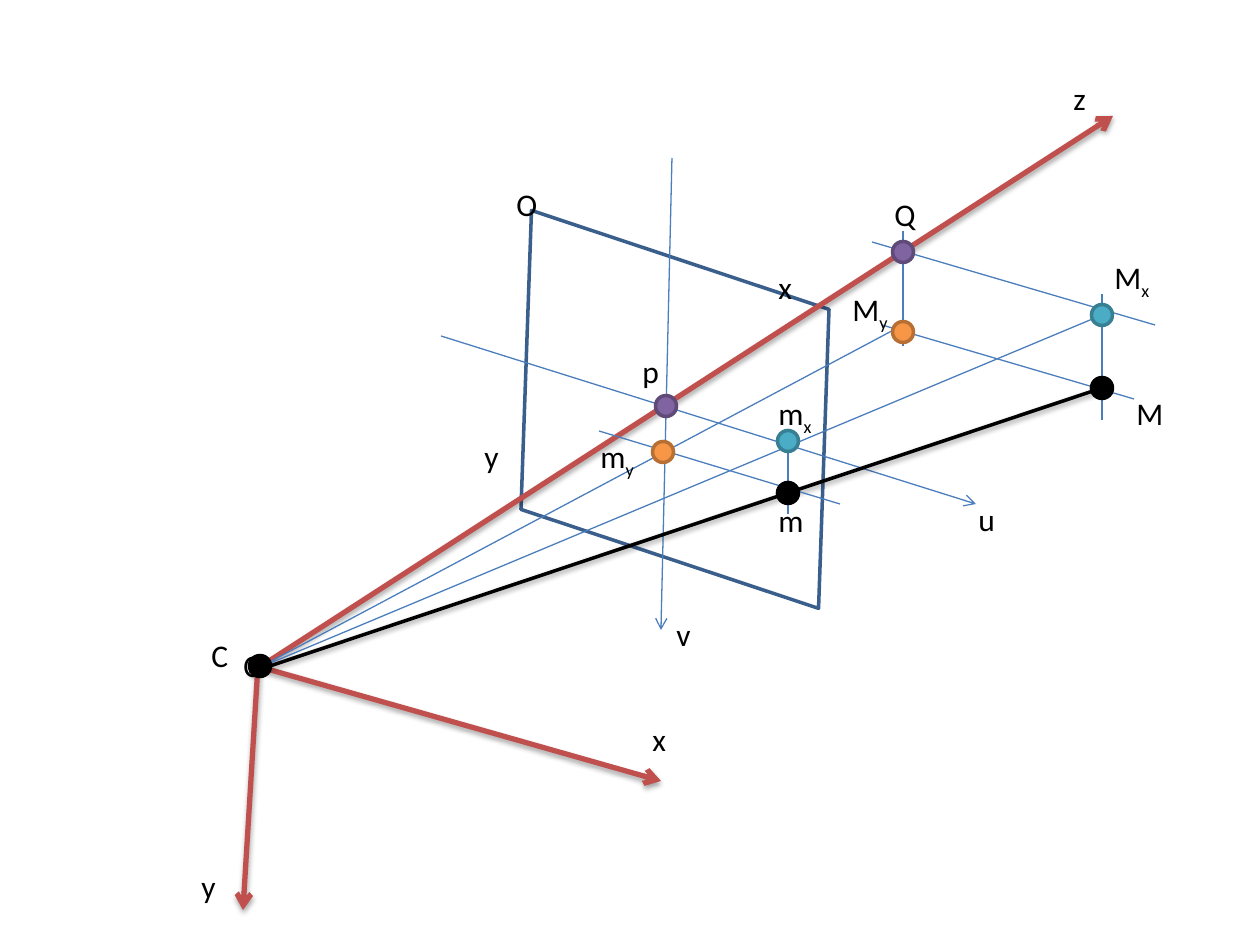
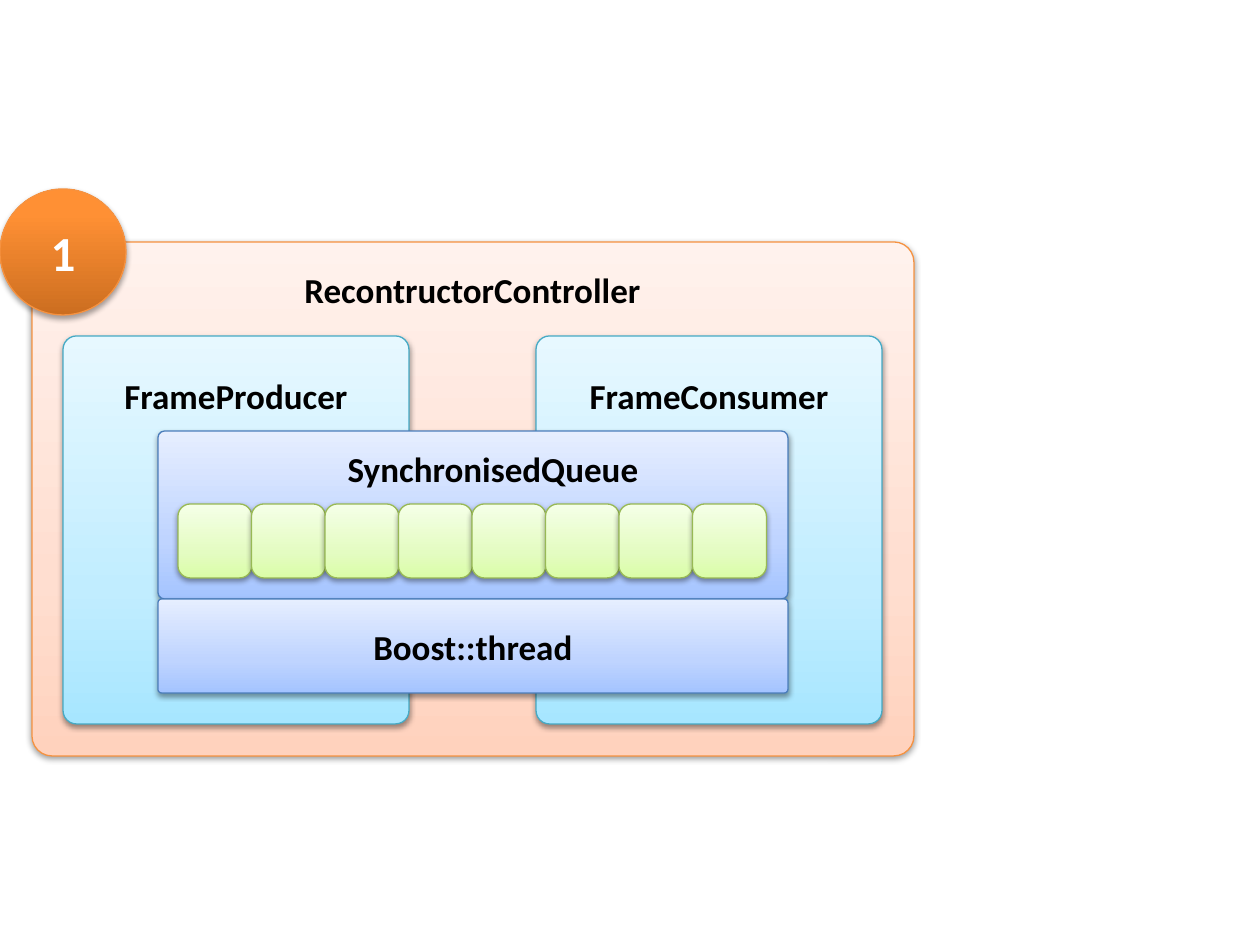
import copy

import pptx
import pptx.dml.color
import pptx.enum.shapes
import pptx.enum.text
import pptx.oxml
import pptx.oxml.ns
import pptx.util

RGB = pptx.dml.color.RGBColor
KIND = pptx.enum.shapes.MSO_SHAPE
TEXT = pptx.enum.text
PX = 914400 / 126
FONT = "Calibri"

BLACK = RGB(0, 0, 0)
WHITE = RGB(255, 255, 255)
RED = RGB(0xC0, 0x50, 0x4D)
BLUE = RGB(0x4B, 0x7E, 0xBC)
NAVY = RGB(0x3A, 0x5F, 0x8C)
TEAL = RGB(0x4B, 0xAC, 0xC6), RGB(0x37, 0x7F, 0x92)
AMBER = RGB(0xF7, 0x96, 0x46), RGB(0xB7, 0x6F, 0x34)
PLUM = RGB(0x80, 0x64, 0xA2), RGB(0x5F, 0x4A, 0x78)
INK = BLACK, BLACK

# Shadow: opacity in percent, distance in EMU
SOFT = 38, 20000
DEEP = 35, 23000

# Line styles: colour, width, arrow, shadow
AXIS = RED, 3, True, DEEP
RAY = BLACK, 2, False, SOFT
THIN = BLUE, 0.75, False, None
POINT = BLUE, 0.75, True, None

# Camera diagram
AXES = [(260, 667, 661, 781, AXIS), (258, 665, 243, 910, AXIS)]
PLANE = 476, 266, 398, 287
LINES = [
    (441, 336, 976, 504, POINT),
    (672, 158, 661, 630, POINT),
    (252, 672, 1113, 116, AXIS),
    (252, 672, 1102, 388, RAY),
    (788, 431, 788, 514, THIN),
    (599, 431, 840, 504, THIN),
    (261, 667, 1102, 315, THIN),
    (249, 673, 903, 325, THIN),
    (872, 242, 1155, 325, THIN),
    (903, 231, 903, 346, THIN),
    (1102, 294, 1102, 420, THIN),
    (882, 325, 1134, 399, THIN),
]
DOT = 21
DOTS = [
    (788, 493, INK), (1102, 388, INK),
    (1102, 315, TEAL), (788, 441, TEAL),
    (903, 332, AMBER), (663, 452, AMBER),
    (903, 252, PLUM), (666, 406, PLUM),
    (260, 666, INK),
]
# Labels: left, top, width, letter, subscript
LABELS = [
    (766, 495, 50, "m", ""), (766, 388, 59, "m", "x"),
    (588, 431, 59, "m", "y"), (1124, 388, 53, "M", ""),
    (1102, 252, 62, "M", "x"), (840, 284, 62, "M", "y"),
    (630, 346, 43, "p", ""), (882, 189, 47, "Q", ""),
    (199, 630, 43, "C", ""), (640, 714, 39, "x", ""),
    (189, 861, 40, "y", ""), (1061, 73, 38, "z", ""),
    (231, 640, 43, "C", ""), (766, 262, 39, "x", ""),
    (472, 431, 40, "y", ""), (966, 494, 43, "u", ""),
    (664, 609, 40, "v", ""), (504, 179, 47, "O", ""),
]

# Block styles: gradient stops from the bottom up, line colour
PEACH = [(0, "FFD2BD"), (0.35, "FFDED0"), (1, "FFF2ED")], "F69240"
SKY = [(0, "A7E6FF"), (0.35, "C1EDFF"), (1, "E7F8FF")], "46AAC5"
STEEL = [(0, "A4C4FF"), (0.35, "BFD4FF"), (1, "E6EEFF")], "4B7EBC"
LIME = [(0, "DAFDA7"), (0.35, "E4FCC2"), (1, "F5FFE7")], "98B955"
FLAME = [(0, "CC6E20"), (0.8, "FF9034"), (1, "FF9136")], "F69240"

# Class diagram
BLOCKS = [
    (32, 242, 882, 514, PEACH),
    (536, 336, 346, 388, SKY),
    (63, 336, 346, 388, SKY),
    (158, 431, 630, 168, STEEL),
]
THREAD = 158, 599, 630, 94, STEEL
BADGE = 0, 189, 126, 126, FLAME
CELL, CELLS, CELL_X, CELL_Y = 74, 8, 178, 504
STEP = 73.5
NAMES = [
    (567, 368, 284, "FrameConsumer"),
    (105, 368, 262, "FrameProducer"),
    (325, 441, 336, "SynchronisedQueue"),
    (210, 262, 525, "RecontructorController"),
]


def emu(*vals):
    return [round(v * PX) for v in vals]


def put(obj, fmt):
    for key, val in fmt.items():
        setattr(obj, key, val)


def shade(item, glow):
    """Give the item its own shadow, or an empty effect list."""
    body = ""
    if glow:
        alpha, dist = glow
        body = (f'<a:outerShdw blurRad="40000" dist="{dist}" dir="5400000" '
                f'rotWithShape="0"><a:srgbClr val="000000">'
                f'<a:alpha val="{alpha * 1000}"/></a:srgbClr></a:outerShdw>')
    space = pptx.oxml.ns.nsdecls("a")
    item._element.spPr.append(pptx.oxml.parse_xml(
        f"<a:effectLst {space}>{body}</a:effectLst>"))


def ink(line, tone, width):
    line.color.rgb = tone
    line.width = pptx.util.Pt(width)


def draw(slide, x1, y1, x2, y2, style):
    """Draw one straight line."""
    tone, width, arrow, glow = style
    link = slide.shapes.add_connector(
        pptx.enum.shapes.MSO_CONNECTOR.STRAIGHT, *emu(x1, y1, x2, y2))
    ink(link.line, tone, width)
    if arrow:
        link.line._get_or_add_ln().append(pptx.oxml.parse_xml(
            f'<a:tailEnd {pptx.oxml.ns.nsdecls("a")} type="arrow"/>'))
    shade(link, glow)


def write(para, text, size, tone=BLACK, bold=False):
    run = para.add_run()
    run.text = text
    put(run.font, dict(name=FONT, size=pptx.util.Pt(size), bold=bold))
    run.font.color.rgb = tone
    return run


def label(slide, x, y, width, high, wrap):
    """Add a text box and return its paragraph."""
    frame = slide.shapes.add_textbox(*emu(x, y, width, high)).text_frame
    put(frame, dict(word_wrap=wrap,
                    auto_size=TEXT.MSO_AUTO_SIZE.SHAPE_TO_FIT_TEXT))
    return frame.paragraphs[0]


def block(slide, x, y, width, high, style, kind=KIND.ROUNDED_RECTANGLE,
          adj=0.039, glow=SOFT):
    stops, edge = style
    shape = slide.shapes.add_shape(kind, *emu(x, y, width, high))
    if kind == KIND.ROUNDED_RECTANGLE:
        shape.adjustments[0] = adj
    fill = shape.fill
    fill.gradient()
    fill.gradient_angle = 90
    first = shape._element.spPr.find(".//" + pptx.oxml.ns.qn("a:gs"))
    first.addnext(copy.deepcopy(first))
    for stop, (place, tone) in zip(fill.gradient_stops, stops):
        stop.position = place
        stop.color.rgb = RGB.from_string(tone)
    ink(shape.line, RGB.from_string(edge), 0.75)
    shade(shape, glow)
    return shape


def title(shape, text, size, tone):
    """Write centred bold text inside a shape."""
    frame = shape.text_frame
    frame.vertical_anchor = TEXT.MSO_ANCHOR.MIDDLE
    para = frame.paragraphs[0]
    para.alignment = TEXT.PP_ALIGN.CENTER
    write(para, text, size, tone, True)


def camera(slide):
    for line in AXES:
        draw(slide, *line)
    plane = slide.shapes.add_shape(KIND.PARALLELOGRAM, *emu(*PLANE))
    plane.adjustments[0] = 0.294
    plane.rotation = 18.4
    plane._element.spPr.xfrm.set("flipV", "1")
    plane.fill.background()
    ink(plane.line, NAVY, 2)
    shade(plane, None)
    for line in LINES:
        draw(slide, *line)
    for x, y, (tone, edge) in DOTS:
        dot = slide.shapes.add_shape(
            KIND.OVAL, *emu(x - DOT / 2, y - DOT / 2, DOT, DOT))
        dot.fill.solid()
        dot.fill.fore_color.rgb = tone
        ink(dot.line, edge, 2)
        shade(dot, None)
    for x, y, width, text, sub in LABELS:
        para = label(slide, x, y, width, 50, False)
        write(para, text, 18)
        if sub:
            low = write(para, sub, 18)
            low.font._element.set("baseline", "-25000")


def classes(slide):
    for part in BLOCKS:
        block(slide, *part)
    for i in range(CELLS):
        block(slide, CELL_X + i * STEP, CELL_Y, CELL, CELL, LIME, adj=0.167)
    title(block(slide, *THREAD), "Boost::thread", 20, BLACK)
    for x, y, width, text in NAMES:
        para = label(slide, x, y, width, 55, True)
        para.alignment = TEXT.PP_ALIGN.CENTER
        write(para, text, 20, bold=True)
    title(block(slide, *BADGE, kind=KIND.OVAL, glow=DEEP), "1", 28, WHITE)


def main():
    deck = pptx.Presentation()
    put(deck, dict(slide_width=pptx.util.Inches(10),
                   slide_height=pptx.util.Inches(7.5)))
    for build in (camera, classes):
        build(deck.slides.add_slide(deck.slide_layouts[6]))
    deck.save("out.pptx")


if __name__ == "__main__":
    main()
